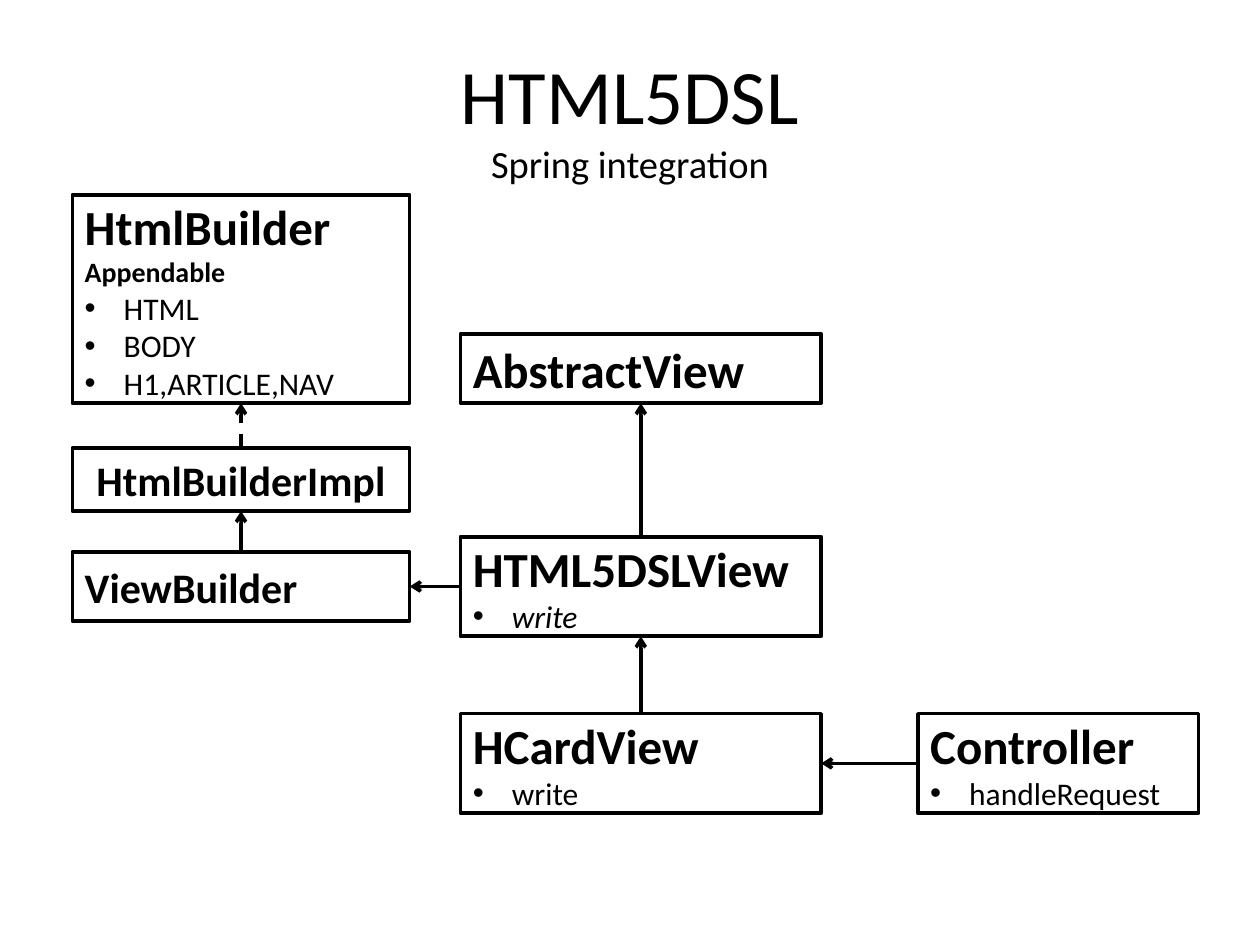
from lxml import etree
from pptx import Presentation
from pptx import util as u
from pptx.dml.color import RGBColor
from pptx.enum import dml, shapes, text
from pptx.oxml.ns import qn

COLORS = {"ink": "000000"}
FONT = "Calibri"
GRID_COLUMNS, GRID_ROWS = 100, 75
TOP, LEFT, BOTTOM, RIGHT = range(4)
HEADING, SMALL_HEADING, NOTE, ITEM = 28, 24, 16, 18
BULLET_INDENT = u.Inches(0.31)

COLUMNS = {"builders": (5.74, 26.78), "views": (36.54, 28.64), "web": (72.84, 22.28)}

CLASSES = [
    ("HtmlBuilder", "builders", 15.46, 16.54, HEADING, "Appendable", ["HTML", "BODY", "H1,ARTICLE,NAV"]),
    ("HtmlBuilderImpl", "builders", 35.56, 5, SMALL_HEADING, None, []),
    ("ViewBuilder", "builders", 43.8, 5.5, SMALL_HEADING, None, []),
    ("AbstractView", "views", 26.5, 5.5, HEADING, None, []),
    ("HTML5DSLView", "views", 42.6, 7.9, HEADING, None, ["write"]),
    ("HCardView", "views", 56.64, 7.9, HEADING, None, ["write"]),
    ("Controller", "web", 56.64, 7.9, HEADING, None, ["handleRequest"]),
]
CENTERED = {"HtmlBuilderImpl"}
ABSTRACT = {"HTML5DSLView"}

ARROWS = [
    ("HtmlBuilderImpl", TOP, "HtmlBuilder", BOTTOM, True),
    ("ViewBuilder", TOP, "HtmlBuilderImpl", BOTTOM, False),
    ("HTML5DSLView", LEFT, "ViewBuilder", RIGHT, False),
    ("HTML5DSLView", TOP, "AbstractView", BOTTOM, False),
    ("HCardView", TOP, "HTML5DSLView", BOTTOM, False),
    ("Controller", LEFT, "HCardView", RIGHT, False),
]


def color(name):
    return RGBColor.from_string(COLORS[name])


def grid_box(presentation, column, row, columns, rows):
    width = presentation.slide_width / GRID_COLUMNS
    height = presentation.slide_height / GRID_ROWS
    return [round(length) for length in (column * width, row * height, columns * width, rows * height)]


def place(shape, box):
    shape.left, shape.top, shape.width, shape.height = box


def add_run(paragraph, words, size, bold=False, italic=False):
    run = paragraph.add_run()
    run.text = words
    run.font.name = FONT
    run.font.size = u.Pt(size)
    run.font.bold = bold
    run.font.italic = italic
    run.font.color.rgb = color("ink")


def add_bullet(paragraph):
    properties = paragraph._p.get_or_add_pPr()
    properties.set("marL", str(BULLET_INDENT))
    properties.set("indent", str(-BULLET_INDENT))
    etree.SubElement(properties, qn("a:buFont"), typeface="Arial")
    etree.SubElement(properties, qn("a:buChar"), char="•")


def style_line(line):
    line.color.rgb = color("ink")
    line.width = u.Pt(2)


def fill_title(title, box):
    place(title, box)
    frame = title.text_frame
    frame.auto_size = text.MSO_AUTO_SIZE.NONE
    frame.vertical_anchor = text.MSO_ANCHOR.MIDDLE
    paragraph = frame.paragraphs[0]
    paragraph.alignment = text.PP_ALIGN.CENTER
    add_run(paragraph, "HTML5DSL", 44)
    paragraph.add_line_break()
    add_run(paragraph, "Spring integration", 22)


def add_class_box(slide, box, name, size, note, items):
    shape = slide.shapes.add_shape(shapes.MSO_SHAPE.RECTANGLE, *box)
    shape.shadow.inherit = False
    shape.fill.background()
    style_line(shape.line)
    frame = shape.text_frame
    frame.word_wrap = True
    frame.vertical_anchor = text.MSO_ANCHOR.MIDDLE
    heading = frame.paragraphs[0]
    heading.alignment = text.PP_ALIGN.CENTER if name in CENTERED else text.PP_ALIGN.LEFT
    add_run(heading, name, size, bold=True)
    if note:
        paragraph = frame.add_paragraph()
        paragraph.alignment = text.PP_ALIGN.LEFT
        add_run(paragraph, note, NOTE, bold=True)
    for item in items:
        paragraph = frame.add_paragraph()
        paragraph.alignment = text.PP_ALIGN.LEFT
        add_bullet(paragraph)
        add_run(paragraph, item, ITEM, italic=name in ABSTRACT)
    return shape


def add_arrow(slide, source, source_side, target, target_side, dashed):
    connector = slide.shapes.add_connector(shapes.MSO_CONNECTOR.STRAIGHT, 0, 0, 0, 0)
    connector.begin_connect(source, source_side)
    connector.end_connect(target, target_side)
    style_line(connector.line)
    if dashed:
        connector.line.dash_style = dml.MSO_LINE.DASH
    properties = connector._element.spPr
    etree.SubElement(properties.find(qn("a:ln")), qn("a:tailEnd"), type="arrow")
    etree.SubElement(properties, qn("a:effectLst"))


def build_class_diagram(presentation, slide):
    boxes = {}
    for name, column, row, rows, size, note, items in CLASSES:
        left, columns = COLUMNS[column]
        box = grid_box(presentation, left, row, columns, rows)
        boxes[name] = add_class_box(slide, box, name, size, note, items)
    for source, source_side, target, target_side, dashed in ARROWS:
        add_arrow(slide, boxes[source], source_side, boxes[target], target_side, dashed)


def main():
    presentation = Presentation()
    presentation.slide_width = u.Inches(10)
    presentation.slide_height = u.Inches(7.5)
    slide = presentation.slides.add_slide(presentation.slide_layouts.get_by_name("Title Only"))
    fill_title(slide.shapes.title, grid_box(presentation, 5, 3, 90, 12.5))
    build_class_diagram(presentation, slide)
    presentation.save("out.pptx")


if __name__ == "__main__":
    main()
